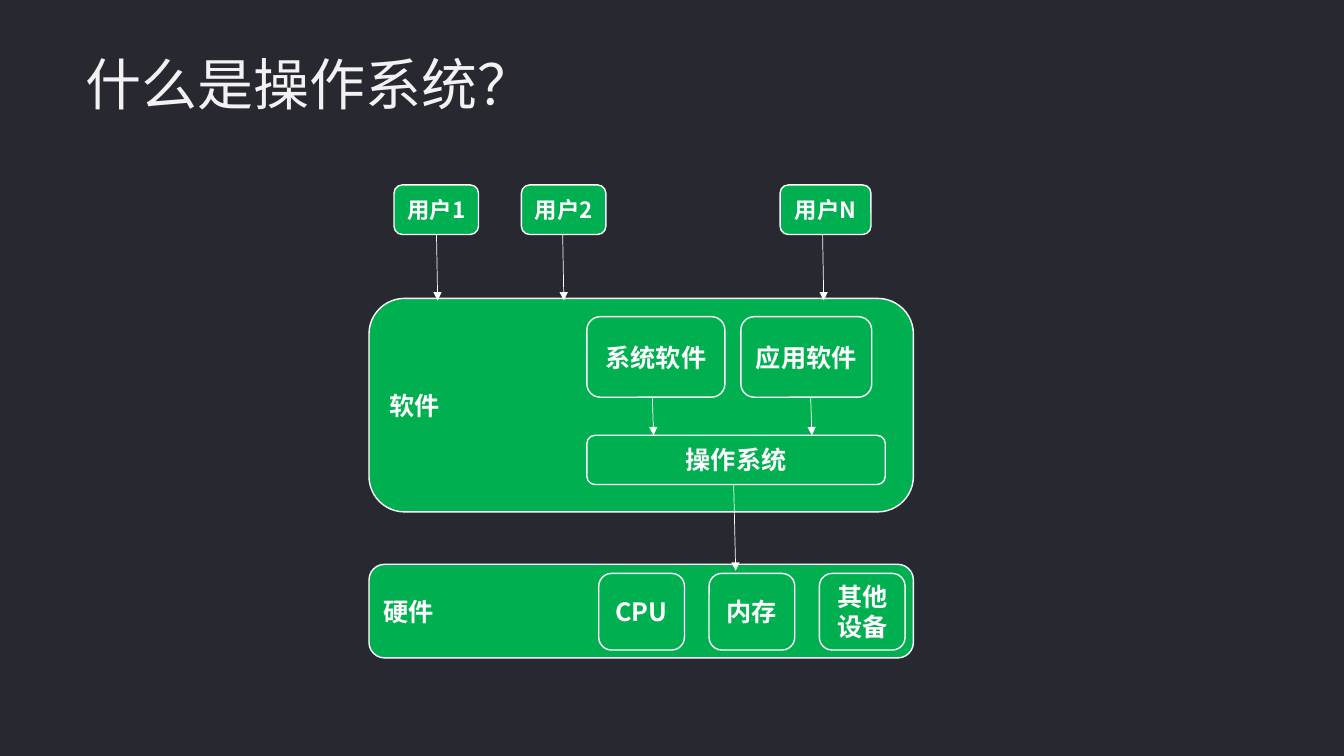
from dataclasses import dataclass

from lxml.etree import SubElement
from pptx import Presentation
from pptx.dml.color import RGBColor
from pptx.enum.shapes import MSO_CONNECTOR, MSO_SHAPE
from pptx.enum.text import MSO_ANCHOR, MSO_AUTO_SIZE, PP_ALIGN
from pptx.oxml.ns import qn
from pptx.util import Cm, Pt


@dataclass(frozen=True)
class Theme:
    """Colours, font and sizes of the slide."""
    background: RGBColor = RGBColor(0x28, 0x28, 0x30)
    title: RGBColor = RGBColor(0xF2, 0xF2, 0xF2)
    box: RGBColor = RGBColor(0x00, 0xB0, 0x50)
    light: RGBColor = RGBColor(0xFF, 0xFF, 0xFF)
    font: str = "Noto Sans CJK SC"
    title_size: int = 40
    label_size: int = 18
    user_size: int = 16
    outline: float = 1
    arrow: float = 0.5


THEME = Theme()


def set_attributes(target, **values):
    """Set every given attribute on the target."""
    for name, value in values.items():
        setattr(target, name, value)


def write_text(shape, text, size, color, bold, alignment, anchor):
    """Write one formatted paragraph into a shape."""
    frame = shape.text_frame
    set_attributes(frame, text=text, word_wrap=True, vertical_anchor=anchor,
                   auto_size=MSO_AUTO_SIZE.NONE)
    paragraph = frame.paragraphs[0]
    paragraph.alignment = alignment
    run = paragraph.runs[0]
    set_attributes(run.font, name=THEME.font, size=Pt(size), bold=bold)
    run.font.color.rgb = color
    SubElement(run.font._element, qn("a:ea"), typeface=THEME.font)
    return paragraph


def add_box(slide, box, text, size=THEME.label_size, alignment=PP_ALIGN.CENTER):
    """Add a labelled green rounded box; lengths in centimetres."""
    shape = slide.shapes.add_shape(MSO_SHAPE.ROUNDED_RECTANGLE, *map(Cm, box))
    shape.shadow.inherit = False
    shape.fill.solid()
    shape.fill.fore_color.rgb = THEME.box
    shape.line.color.rgb = THEME.light
    shape.line.width = Pt(THEME.outline)
    write_text(shape, text, size, THEME.light, True, alignment, MSO_ANCHOR.MIDDLE)


def add_arrow(slide, x, top, bottom, drift=0.03):
    """Add a thin downward arrow that drifts slightly to the right."""
    connector = slide.shapes.add_connector(
        MSO_CONNECTOR.STRAIGHT, *map(Cm, (x, top, x + drift, bottom)))
    connector.line.color.rgb = THEME.light
    connector.line.width = Pt(THEME.arrow)
    SubElement(connector.line._get_or_add_ln(), qn("a:tailEnd"), type="triangle")
    SubElement(connector._element.spPr, qn("a:effectLst"))


def add_title(slide, box, text):
    """Place and format the title placeholder."""
    title = slide.shapes.title
    left, top, width, height = map(Cm, box)
    set_attributes(title, left=left, top=top, width=width, height=height)
    paragraph = write_text(title, text, THEME.title_size, THEME.title, False,
                           PP_ALIGN.LEFT, MSO_ANCHOR.TOP)
    paragraph.line_spacing = 0.9


def add_users(slide, box):
    """Add the row of users with arrows to the software below."""
    left, top, _, height = box
    users = (("用户1", 0.63, 2.13, 1.7), ("用户2", 3.84, 2.13, 4.88),
             ("用户N", 10.36, 2.29, 11.43))
    for text, offset, width, arrow in users:
        add_box(slide, (left + offset, top, width, height), text, THEME.user_size)
        add_arrow(slide, left + arrow, top + height, top + height + 1.66)


def add_software(slide, box):
    """Add the software layer with its programs above the operating system."""
    left, top, _, _ = box
    add_box(slide, box, "软件", alignment=PP_ALIGN.LEFT)
    add_box(slide, (left + 5.49, top + 3.45, 7.52, 1.24), "操作系统")
    programs = (("系统软件", 5.49, 3.48, 7.14), ("应用软件", 9.37, 3.3, 11.13))
    for text, offset, width, arrow in programs:
        add_box(slide, (left + offset, top + 0.46, width, 2.03), text)
        add_arrow(slide, left + arrow, top + 2.5, top + 3.45)


def add_hardware(slide, box):
    """Add the hardware layer with evenly spaced devices."""
    left, top, _, _ = box
    add_box(slide, box, "硬件", alignment=PP_ALIGN.LEFT)
    for index, text in enumerate(("CPU", "内存", "其他设备")):
        add_box(slide, (left + 5.79 + 2.78 * index, top + 0.23, 2.16, 1.93), text)


def build_slide(presentation):
    """Build the slide on operating systems."""
    slide = presentation.slides.add_slide(presentation.slide_layouts[5])
    slide.background.fill.solid()
    slide.background.fill.fore_color.rgb = THEME.background
    left, width = 9.3, 13.72
    add_title(slide, (1.9, 1.3, 21.6, 2.64), "什么是操作系统？")
    add_hardware(slide, (left, 14.22, width, 2.36))
    add_software(slide, (left, 7.52, width, 5.38))
    add_users(slide, (left, 4.66, width, 1.25))
    add_arrow(slide, left + 9.19, 12.22, 14.38, drift=0.05)


presentation = Presentation()
set_attributes(presentation, slide_width=Cm(33.87), slide_height=Cm(19.05))
build_slide(presentation)
presentation.save("out.pptx")
